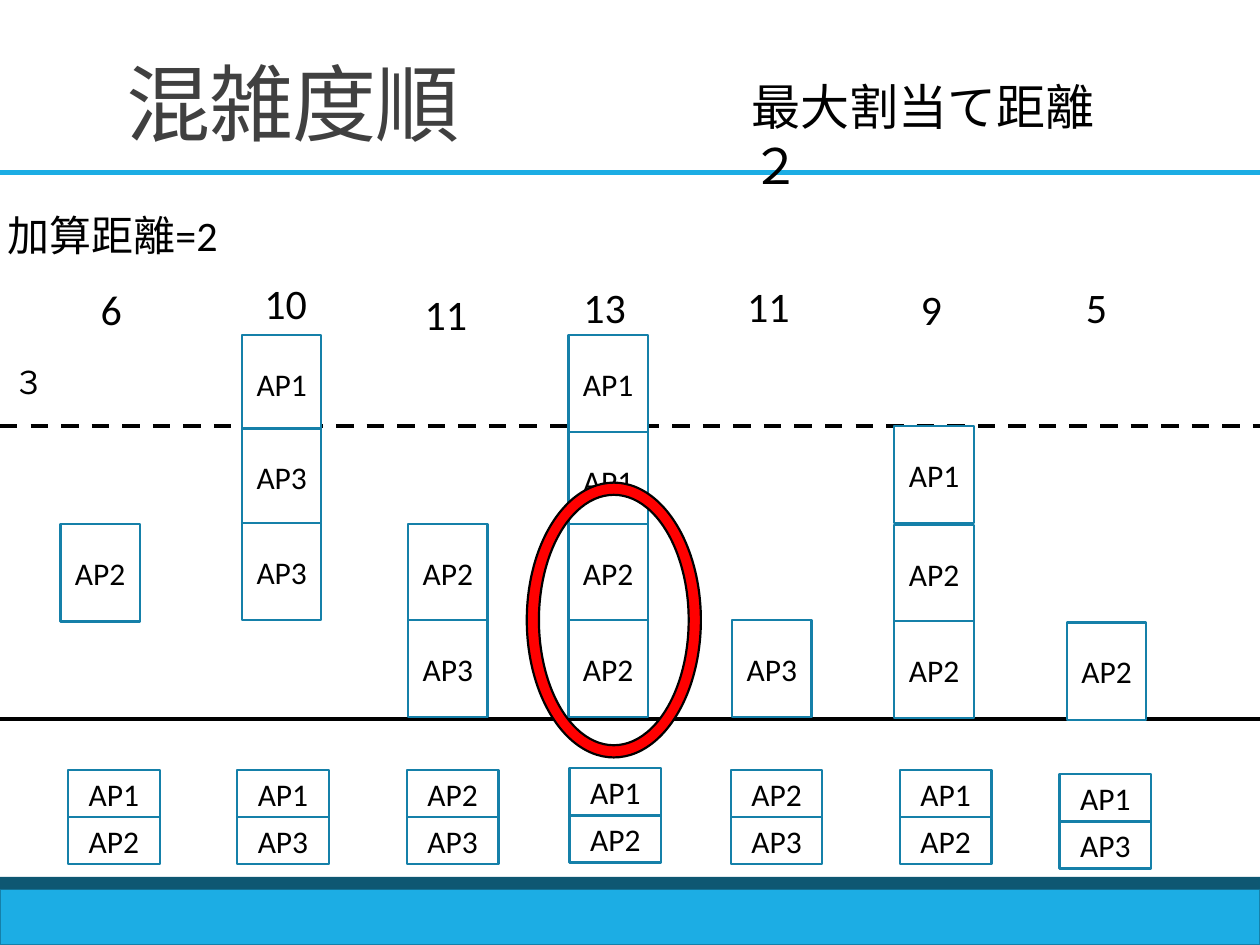
from lxml.etree import SubElement
from pptx import Presentation
from pptx.dml.color import RGBColor
from pptx.enum.dml import MSO_LINE_DASH_STYLE as Dash
from pptx.enum.shapes import MSO_CONNECTOR, MSO_SHAPE as Shape
from pptx.enum.text import MSO_ANCHOR as Anchor, MSO_AUTO_SIZE as AutoSize, PP_ALIGN as Align
from pptx.oxml.ns import qn
from pptx.util import Cm, Pt

FONT = "Calibri"
BLACK = RGBColor(0x00, 0x00, 0x00)
WHITE = RGBColor(0xFF, 0xFF, 0xFF)
GRAY = RGBColor(0x40, 0x40, 0x40)
SKY = RGBColor(0x1C, 0xAD, 0xE4)
EDGE = RGBColor(0x15, 0x80, 0xA9)
NAVY = RGBColor(0x0E, 0x57, 0x72)
RED = RGBColor(0xFF, 0x00, 0x00)

# Content; all lengths in centimetres
TITLE = "混雑度順"
NOTES = [  # text, (left, top, width, height), size, wrap
    ("３", (0.03, 7.19, 1.14, 1.02), 18, False),
    ("加算距離=2", (-0.1, 4.09, 9.47, 1.27), 24, True),
    ("最大割当て距離　２", (14.91, 1.42, 8.74, 1.45), 28, True),
]
TOTALS = [  # text, left, top
    ("6", 1.78, 5.59), ("10", 5.08, 5.46), ("11", 8.31, 5.69), ("13", 11.51, 5.56),
    ("11", 14.81, 5.54), ("9", 18.31, 5.59), ("5", 21.64, 5.56),
]
STACKS = [  # left, blocks as (label, top)
    (1.22, [("AP2", 10.57)]),
    (4.88, [("AP1", 6.76), ("AP3", 8.64), ("AP3", 10.54)]),
    (8.23, [("AP2", 10.57), ("AP3", 12.5)]),
    (11.46, [("AP1", 6.76), ("AP1", 8.71), ("AP2", 10.57), ("AP2", 12.5)]),
    (14.76, [("AP3", 12.5)]),
    (18.03, [("AP1", 8.59), ("AP2", 10.59), ("AP2", 12.52)]),
    (21.51, [("AP2", 12.55)]),
]
CANDIDATES = [  # left, top, labels
    (1.37, 15.52, ("AP1", "AP2")), (4.78, 15.52, ("AP1", "AP3")),
    (8.2, 15.52, ("AP2", "AP3")), (11.48, 15.49, ("AP1", "AP2")),
    (14.73, 15.52, ("AP2", "AP3")), (18.14, 15.52, ("AP1", "AP2")),
    (21.36, 15.61, ("AP1", "AP3")),
]
SLIDE_WIDTH, SLIDE_HEIGHT = 25.4, 19.05
BLOCK_WIDTH, BLOCK_HEIGHT = 1.6, 1.96
CANDIDATE_WIDTH, CANDIDATE_HEIGHT = 1.85, 0.95


def write(frame, text, size=18, color=BLACK, align=Align.LEFT, anchor=Anchor.TOP, wrap=True):
    frame.word_wrap = wrap
    frame.auto_size = AutoSize.NONE
    frame.vertical_anchor = anchor
    paragraph = frame.paragraphs[0]
    paragraph.alignment = align
    run = paragraph.add_run()
    run.text = text
    run.font.name = FONT
    run.font.size = Pt(size)
    run.font.color.rgb = color
    return paragraph


def add_box(slide, box, fill, line=EDGE, kind=Shape.RECTANGLE):
    shape = slide.shapes.add_shape(kind, *map(Cm, box))
    shape.shadow.inherit = False
    shape.fill.solid()
    shape.fill.fore_color.rgb = fill
    if line is None:
        shape.line.fill.background()
    else:
        shape.line.color.rgb = line
        shape.line.width = Pt(1.25)
    return shape


def add_block(slide, label, box):
    shape = add_box(slide, box, WHITE)
    write(shape.text_frame, label, align=Align.CENTER, anchor=Anchor.MIDDLE)


def add_note(slide, text, box, size, wrap=True):
    write(slide.shapes.add_textbox(*map(Cm, box)).text_frame, text, size=size, wrap=wrap)


def add_rule(slide, top, color, dash=None):
    rule = slide.shapes.add_connector(
        MSO_CONNECTOR.STRAIGHT, Cm(0), Cm(top), Cm(SLIDE_WIDTH), Cm(top))
    rule.line.color.rgb = color
    rule.line.width = Pt(2.5)
    if dash is not None:
        rule.line.dash_style = dash
    SubElement(rule._element.spPr, qn("a:effectLst"))


def main():
    presentation = Presentation()
    presentation.slide_width = Cm(SLIDE_WIDTH)
    presentation.slide_height = Cm(SLIDE_HEIGHT)
    slide = presentation.slides.add_slide(presentation.slide_layouts[5])

    # Footer bands and header rule
    add_box(slide, (0, 17.93, SLIDE_WIDTH, 1.12), SKY)
    add_rule(slide, 3.48, SKY)
    add_box(slide, (0, 17.68, SLIDE_WIDTH, 0.25), NAVY, line=None)

    # Title
    title = slide.shapes.title
    title.left, title.top, title.width, title.height = map(Cm, (2.29, 0.79, 20.96, 2.41))
    paragraph = write(title.text_frame, TITLE, size=48, color=GRAY, anchor=Anchor.BOTTOM)
    paragraph.line_spacing = 0.85
    paragraph.runs[0].font._element.set("spc", "-50")

    # Base line and distance limit
    add_rule(slide, 14.5, BLACK)
    add_rule(slide, 8.59, BLACK, dash=Dash.DASH)

    # Candidate access points below the base line
    for left, top, labels in CANDIDATES:
        for row, label in enumerate(labels):
            add_block(slide, label, (left, top + row * CANDIDATE_HEIGHT,
                                     CANDIDATE_WIDTH, CANDIDATE_HEIGHT))

    # Stacks of assigned access points
    for left, blocks in STACKS:
        for label, top in blocks:
            add_block(slide, label, (left, top, BLOCK_WIDTH, BLOCK_HEIGHT))

    # Totals and notes
    for text, left, top in TOTALS:
        add_note(slide, text, (left, top, 1.8, 1.27), 24)
    for text, box, size, wrap in NOTES:
        add_note(slide, text, box, size, wrap)

    # Highlight ring
    ring = add_box(slide, (10.62, 9.73, 3.51, 5.54), RED, line=BLACK, kind=Shape.DONUT)
    ring.adjustments[0] = 0.07

    presentation.save("out.pptx")


if __name__ == "__main__":
    main()
